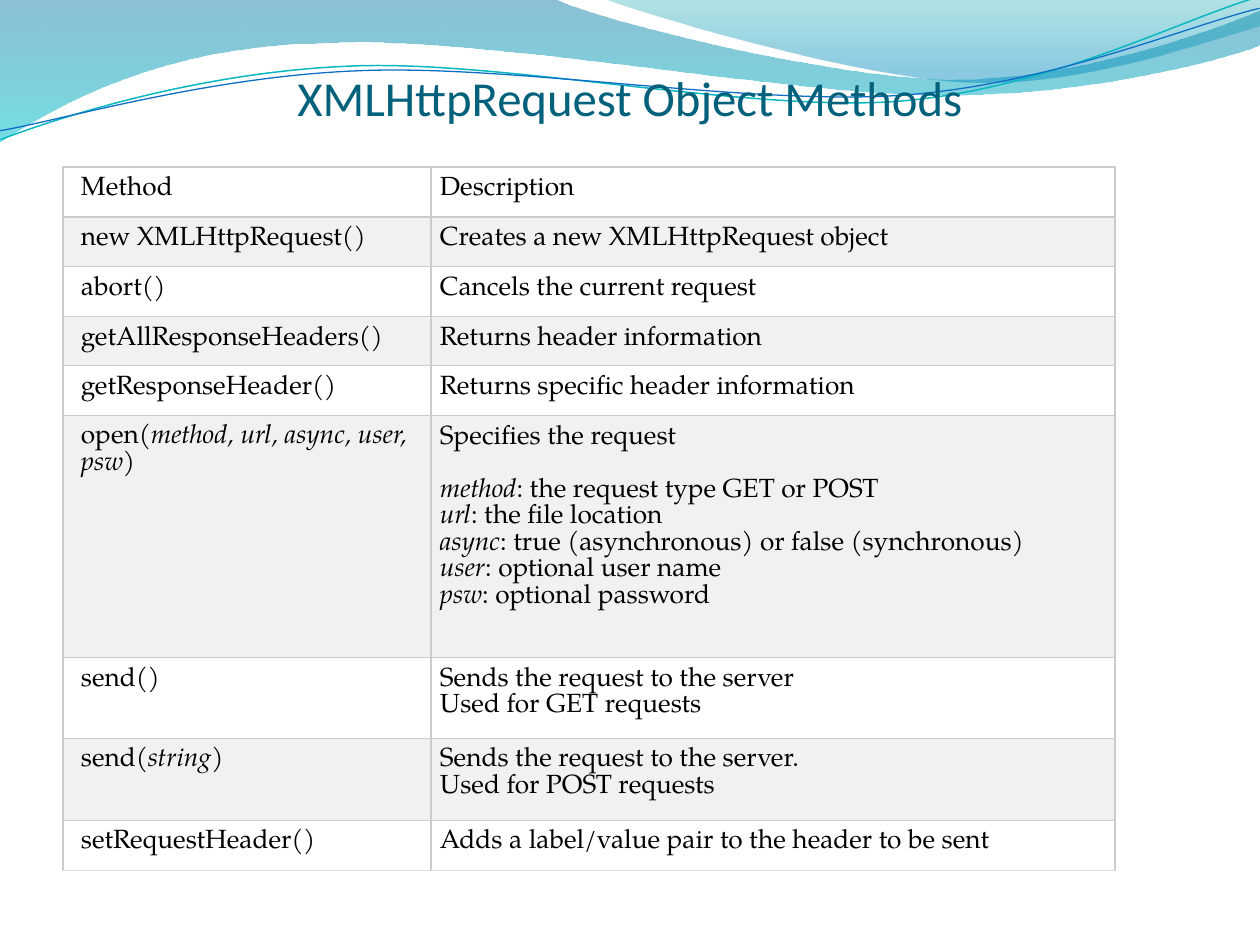
from lxml import etree
from pptx import Presentation
from pptx.dml.color import RGBColor
from pptx.enum.text import MSO_ANCHOR, PP_ALIGN
from pptx.oxml.ns import qn
from pptx.util import Pt

PX = 914400 / 126
CENTER = PP_ALIGN.CENTER
TOP = MSO_ANCHOR.TOP
COLORS = {
    "title": "04617B", "text": "000000", "white": "FFFFFF", "band": "F1F1F1",
    "border": "CCCCCC", "last_border": "DDDDDD", "teal_line": "0AB8BF", "blue_line": "0F6FC6",
    "deep_blue": "0074A1", "cyan": "00C6CF", "teal": "00A1A9", "sky": "008BBF",
}
TITLE_FONT = "Calibri"
BODY_FONT = "TeX Gyre Pagella"


def px(value):
    return round(value * PX)


def add_wave(start, segments, close):
    """Two numbers make a straight segment, six make a cubic curve."""
    builder = slide.shapes.build_freeform(px(start[0]), px(start[1]), scale=1.0)
    for segment in segments:
        points = zip(segment[::2], segment[1::2])
        builder.add_line_segments([(px(x), px(y)) for x, y in points], close=False)
    if close:
        builder.add_line_segments([], close=True)
    shape = builder.convert_to_shape()
    shape.shadow.inherit = False

    # Join each three points of a curve into one Bezier element
    steps = iter(list(shape._element.spPr.iter(qn("a:lnTo"))))
    for segment in segments:
        step = next(steps)
        if len(segment) == 6:
            step.addprevious(curve := etree.Element(qn("a:cubicBezTo")))
            for part in (step, next(steps), next(steps)):
                curve.append(part[0])
                part.getparent().remove(part)
    return shape


presentation = Presentation()
presentation.slide_width = px(1260)
presentation.slide_height = px(945)
slide = presentation.slides.add_slide(presentation.slide_layouts[6])

# Filled waves: start, segments, gradient stops (position, color, opacity %)
filled_waves = [
    ((0, 0),
     [(554, -1), (600, 21, 837, 79, 955, 79), (1075, 79, 1207, 33, 1260, 11), (1261, 45),
      (1239, 55, 1096, 96, 940, 95), (784, 95, 481, 35, 324, 43), (163, 45, 58, 105, -1, 142),
      (0, 0)],
     [(0, "deep_blue", 45), (1, "cyan", 55)]),
    ((604, -1),
     [(641, 14, 859, 78, 969, 82), (1079, 87, 1211, 40, 1260, 26), (1260, 0), (604, -1)],
     [(0, "teal", 30), (0.8, "sky", 45)]),
]
for start, segments, stops in filled_waves:
    shape = add_wave(start, segments, True)
    shape.line.fill.background()
    shape.fill.gradient()
    shape.fill.gradient_angle = 270
    for stop, (position, color, opacity) in zip(shape.fill.gradient_stops, stops):
        stop.position = position
        stop.color.rgb = RGBColor.from_string(COLORS[color])
    for element, (position, color, opacity) in zip(shape._element.spPr.iter(qn("a:srgbClr")), stops):
        etree.SubElement(element, qn("a:alpha"), val=str(opacity * 1000))

# Thin wave lines, tilted after drawing
wave_lines = [
    ((-2, 110), [(59, 90, 200, 52, 350, 53), (499, 53, 745, 118, 896, 114),
                 (1049, 109, 1184, 45, 1260, 27)], "teal_line", 0.85),
    ((-2, 101), [(57, 94, 207, 57, 357, 58), (509, 58, 750, 112, 902, 108),
                 (1052, 104, 1189, 52, 1262, 38)], "blue_line", 0.75),
]
for start, segments, color, width in wave_lines:
    shape = add_wave(start, segments, False)
    shape.rotation = 357.3
    shape.fill.background()
    shape.line.color.rgb = RGBColor.from_string(COLORS[color])
    shape.line.width = Pt(width)

# Title
title = slide.shapes.add_textbox(px(63), px(68), px(1134), px(60))
text_frame = title.text_frame
text_frame.word_wrap = True
text_frame.vertical_anchor = TOP
text_frame.margin_left = text_frame.margin_right = 0
text_frame.margin_top = text_frame.margin_bottom = 0
text_frame.text = "XMLHttpRequest Object Methods"
paragraph = text_frame.paragraphs[0]
paragraph.alignment = CENTER
font = paragraph.runs[0].font
font.name, font.size = TITLE_FONT, Pt(27.9)
font.color.rgb = RGBColor.from_string(COLORS["title"])

# Table rows: height, method, description; *stars* mark italics, a blank line parts paragraphs
rows = [
    (50, "Method", "Description"),
    (50, "new XMLHttpRequest()", "Creates a new XMLHttpRequest object"),
    (50, "abort()", "Cancels the current request"),
    (49, "getAllResponseHeaders()", "Returns header information"),
    (50, "getResponseHeader()", "Returns specific header information"),
    (242, "open(*method, url, async, user, psw*)",
     "Specifies the request\n\n*method*: the request type GET or POST\n*url*: the file location\n"
     "*async*: true (asynchronous) or false (synchronous)\n*user*: optional user name\n"
     "*psw*: optional password"),
    (81, "send()", "Sends the request to the server\nUsed for GET requests"),
    (82, "send(*string*)", "Sends the request to the server.\nUsed for POST requests"),
    (50, "setRequestHeader()", "Adds a label/value pair to the header to be sent"),
]
column_widths = [368, 684]
left_margins = [18, 9]
line_height = Pt(15.2)

table = slide.shapes.add_table(len(rows), len(column_widths), px(63), px(167),
                               px(sum(column_widths)), px(sum(row[0] for row in rows))).table
table.first_row = table.horz_banding = False
for column, width in zip(table.columns, column_widths):
    column.width = px(width)

for row_index, (height, *texts) in enumerate(rows):
    table.rows[row_index].height = px(height)
    for column_index, text in enumerate(texts):
        cell = table.cell(row_index, column_index)
        cell.margin_left = px(left_margins[column_index])
        cell.margin_right = cell.margin_top = cell.margin_bottom = px(9)
        cell.vertical_anchor = TOP

        # Borders come before the fill
        for side in ("lnL", "lnR", "lnT", "lnB"):
            is_last = side == "lnB" and row_index == len(rows) - 1
            border = etree.SubElement(cell._tc.get_or_add_tcPr(), qn("a:" + side), w=str(Pt(0.75)))
            border_fill = etree.SubElement(border, qn("a:solidFill"))
            etree.SubElement(border_fill, qn("a:srgbClr"),
                             val=COLORS["last_border" if is_last else "border"])
        cell.fill.solid()
        cell.fill.fore_color.rgb = RGBColor.from_string(COLORS["band" if row_index % 2 else "white"])

        # Cell text
        for block_index, block in enumerate(text.split("\n\n")):
            if block_index:
                paragraph = cell.text_frame.add_paragraph()
                paragraph.space_before = line_height
            else:
                paragraph = cell.text_frame.paragraphs[0]
            paragraph.line_spacing = line_height
            for line_index, line in enumerate(block.split("\n")):
                if line_index:
                    paragraph.add_line_break()
                for piece_index, piece in enumerate(line.split("*")):
                    if piece:
                        run = paragraph.add_run()
                        run.text = piece
                        run.font.name, run.font.size = BODY_FONT, Pt(15)
                        run.font.italic = piece_index % 2 == 1
                        run.font.color.rgb = RGBColor.from_string(COLORS["text"])

presentation.save("out.pptx")
